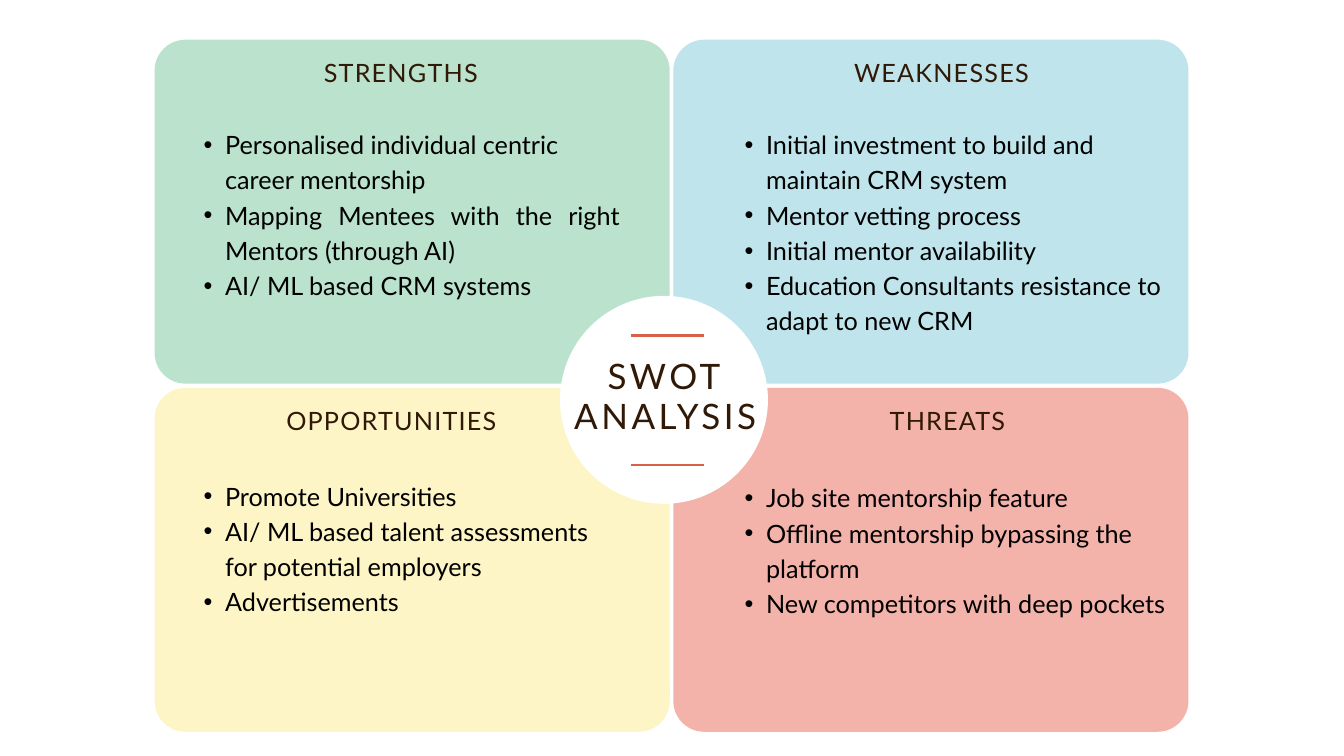
from dataclasses import dataclass

from lxml import etree
from pptx import Presentation
from pptx.dml.color import RGBColor
from pptx.enum import shapes, text
from pptx.oxml import ns
from pptx.util import Pt

LEFT, CENTER, RIGHT, JUSTIFY = (
    text.PP_ALIGN.LEFT, text.PP_ALIGN.CENTER, text.PP_ALIGN.RIGHT, text.PP_ALIGN.JUSTIFY)


@dataclass(frozen=True)
class Theme:
    font: str = "Lato"
    ink: str = "301906"
    body: str = "000000"
    hub: str = "FFFFFF"
    rule: str = "D76249"
    title_size: float = 37.5
    text_size: float = 27


THEME = Theme()

# Quadrant grid, in points
GRID_LEFT, GRID_TOP = 165.6, 42.5
CARD_W, CARD_H = 552, 368.6
PITCH_X, PITCH_Y = 555.8, 373
HEADING_TOP = 65.5
LIST_LEFT, LIST_W = (195.1, 774.7), (468.7, 486)

# Each quadrant: colour, opacity %, heading (text, left, width, alignment),
# list top, list height, list items (text, alignment)
QUADRANTS = [
    ("09984B", 28, ("STRENGTHS", 347, 189, LEFT), 133.2, 183.6, [
        ("Personalised individual centric career mentorship", LEFT),
        ("Mapping Mentees with the right Mentors (through AI)", JUSTIFY),
        ("AI/ ML based CRM systems", JUSTIFY)]),
    ("0097B2", 25, ("WEAKNESSES", 894.3, 208, RIGHT), 133.2, 257.8, [
        ("Initial investment to build and maintain CRM system", LEFT),
        ("Mentor vetting process", LEFT),
        ("Initial mentor availability", JUSTIFY),
        ("Education Consultants resistance to adapt to new CRM", LEFT)]),
    ("FADE43", 30, ("OPPORTUNITIES", 306.7, 245, LEFT), 509.8, 183.6, [
        ("Promote Universities", LEFT),
        ("AI/ ML based talent assessments for potential employers", LEFT),
        ("Advertisements", LEFT)]),
    ("E5412C", 40, ("THREATS", 953.3, 149, LEFT), 511.9, 183.6, [
        ("Job site mentorship feature", LEFT),
        ("Offline mentorship bypassing the platform", LEFT),
        ("New competitors with deep pockets", LEFT)]),
]


def rgb(value):
    return RGBColor.from_string(value)


def add_panel(slide, preset, left, top, width, height, color, opacity=100):
    panel = slide.shapes.add_shape(preset, Pt(left), Pt(top), Pt(width), Pt(height))
    panel.shadow.inherit = False
    panel.fill.solid()
    panel.fill.fore_color.rgb = rgb(color)
    panel.line.fill.background()
    if opacity < 100:
        tint = panel.element.find(".//" + ns.qn("a:srgbClr"))
        etree.SubElement(tint, ns.qn("a:alpha"), val=str(opacity * 1000))
    return panel


def add_rule(slide, left, right, y):
    rule = slide.shapes.add_connector(
        shapes.MSO_CONNECTOR.STRAIGHT, Pt(left), Pt(y), Pt(right), Pt(y))
    rule.line.color.rgb = rgb(THEME.rule)
    rule.line.width = Pt(3)
    etree.SubElement(rule.element.spPr, ns.qn("a:effectLst"))


def add_bullet(paragraph):
    properties = paragraph._p.get_or_add_pPr()
    properties.set("marL", str(Pt(46.1)))
    properties.set("indent", str(Pt(-23)))
    etree.SubElement(properties, ns.qn("a:buFont"), typeface="Arial")
    etree.SubElement(properties, ns.qn("a:buChar"), char="•")
    paragraph.level = 1


def write(box, items, *, size, color, leading, tracking=0, bullets=False):
    """Fill a box with (text, alignment) paragraphs in one format."""
    frame = box.text_frame
    frame.word_wrap = True
    frame.auto_size = text.MSO_AUTO_SIZE.SHAPE_TO_FIT_TEXT
    frame.vertical_anchor = text.MSO_ANCHOR.TOP
    frame.margin_left = frame.margin_top = frame.margin_right = frame.margin_bottom = 0
    for number, (words, alignment) in enumerate(items):
        paragraph = frame.add_paragraph() if number else frame.paragraphs[0]
        if bullets:
            add_bullet(paragraph)
        paragraph.alignment = alignment
        paragraph.line_spacing = Pt(leading)
        paragraph.space_before = paragraph.space_after = Pt(0)
        run = paragraph.add_run()
        run.text = words
        run.font.name = THEME.font
        run.font.size = Pt(size)
        run.font.bold = False
        run.font.color.rgb = rgb(color)
        if tracking:
            run._r.get_or_add_rPr().set("spc", str(round(tracking * 100)))


def place(slide, placeholder, left, top, width, height):
    """Move a placeholder into position and to the front."""
    placeholder.left, placeholder.top = Pt(left), Pt(top)
    placeholder.width, placeholder.height = Pt(width), Pt(height)
    slide.shapes.element.append(placeholder.element)


def add_heading(slide, words, left, top, width, alignment):
    heading = slide.shapes.add_textbox(Pt(left), Pt(top), Pt(width), Pt(28))
    write(heading, [(words, alignment)], size=THEME.text_size, color=THEME.ink,
          leading=27.8, tracking=1.3)


def main():
    deck = Presentation()
    deck.slide_width, deck.slide_height = Pt(1440), Pt(810)
    slide = deck.slides.add_slide(deck.slide_layouts.get_by_name("Comparison"))
    title, *lists = list(slide.placeholders)

    # Quadrant cards
    for index, (color, opacity, *_) in enumerate(QUADRANTS):
        row, column = divmod(index, 2)
        card = add_panel(slide, shapes.MSO_SHAPE.ROUNDED_RECTANGLE,
                         GRID_LEFT + column * PITCH_X, GRID_TOP + row * PITCH_Y,
                         CARD_W, CARD_H, color, opacity)
        card.adjustments[0] = 0.09

    # Central hub with the title between two rules
    add_panel(slide, shapes.MSO_SHAPE.OVAL, 600, 317, 222.8, 222.8, THEME.hub)
    for y in (359.3, 498.2):
        add_rule(slide, 676, 754, y)
    place(slide, title, 564.5, 381.6, 296.6, 86)
    write(title, [("SWOT ANALYSIS", CENTER)], size=THEME.title_size,
          color=THEME.ink, leading=43.1, tracking=3.7)

    # Headings and lists
    for index, (quadrant, points) in enumerate(zip(QUADRANTS, lists)):
        row, column = divmod(index, 2)
        _, _, (words, left, width, alignment), top, height, items = quadrant
        add_heading(slide, words, left, HEADING_TOP + row * PITCH_Y, width, alignment)
        place(slide, points, LIST_LEFT[column], top, LIST_W[column], height)
        write(points, items, size=THEME.text_size, color=THEME.body,
              leading=37.8, bullets=True)

    deck.save("out.pptx")


if __name__ == "__main__":
    main()
